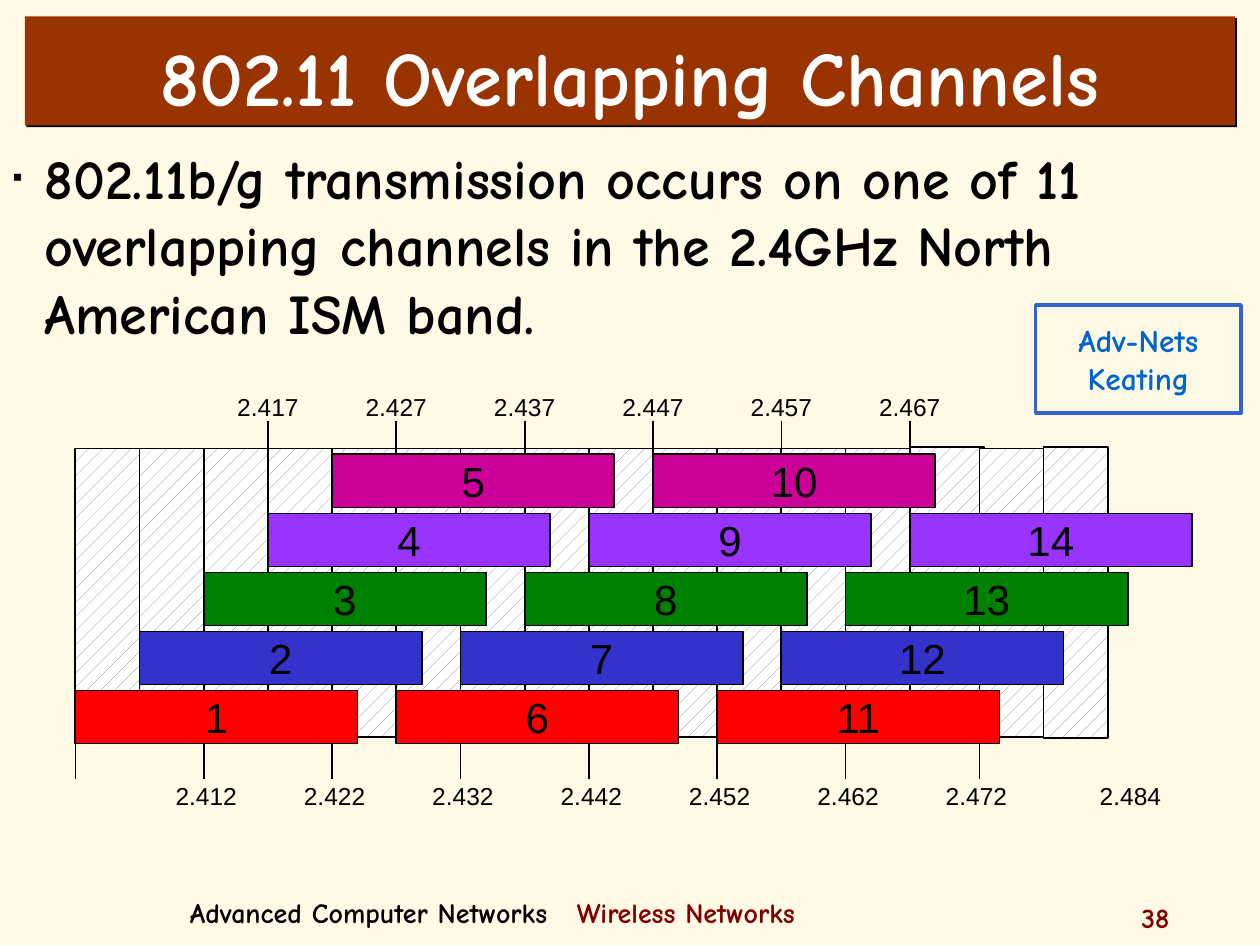
from lxml import etree
from pptx import Presentation
from pptx.dml.color import RGBColor
from pptx.enum import dml, shapes, text
from pptx.oxml import ns
from pptx.util import Cm, Pt

CREAM = RGBColor(0xFF, 0xF9, 0xE6)
RUST = RGBColor(0x99, 0x33, 0x00)
WHITE = RGBColor(0xFF, 0xFF, 0xFF)
BLACK = RGBColor(0x00, 0x00, 0x00)
GRAY = RGBColor(0x80, 0x80, 0x80)
MAROON = RGBColor(0x80, 0x00, 0x00)
FRAME_BLUE = RGBColor(0x33, 0x66, 0xCC)
TEXT_BLUE = RGBColor(0x00, 0x66, 0xCC)
ROW_COLORS = [  # red, blue, green, violet, magenta from the bottom up
    RGBColor(0xFF, 0x00, 0x00), RGBColor(0x33, 0x33, 0xCC), RGBColor(0x00, 0x80, 0x00),
    RGBColor(0x99, 0x33, 0xFF), RGBColor(0xCC, 0x00, 0x99)]

COMIC, ARIAL = "Comic Neue", "Arial"
PITCH = 16.82 / 13  # cm for one 5 MHz column
BAND_START = 2402   # MHz at the left edge of the grid


def write(paragraph, words, font=COMIC, size=16, color=BLACK, bold=True, align=None):
    """Add one formatted run to a paragraph."""
    if align is not None:
        paragraph.alignment = align
    run = paragraph.add_run()
    run.text = words
    run.font.name, run.font.size, run.font.bold = font, Pt(size), bold
    run.font.color.rgb = color


def add_xml(parent, tag, **attributes):
    return etree.SubElement(parent, ns.qn(tag), attributes)


def place(shape, box):
    shape.left, shape.top, shape.width, shape.height = (Cm(value) for value in box)


def add_text_box(slide, box, wrap=True):
    frame = slide.shapes.add_textbox(*(Cm(value) for value in box)).text_frame
    frame.word_wrap = wrap
    return frame


def add_rectangle(container, box, line_color=BLACK, line_width=1):
    shape = container.add_shape(shapes.MSO_SHAPE.RECTANGLE, *(Cm(value) for value in box))
    shape.shadow.inherit = False
    shape.line.color.rgb = line_color
    shape.line.width = Pt(line_width)
    shape.text_frame.word_wrap = False
    shape.text_frame.vertical_anchor = text.MSO_ANCHOR.MIDDLE
    return shape


def add_title(slide, box):
    title = slide.shapes.title
    place(title, box)
    title.fill.solid()
    title.fill.fore_color.rgb = RUST
    effects = add_xml(title.element.spPr, "a:effectLst")
    shadow = add_xml(effects, "a:outerShdw", blurRad="0", dist="17780", dir="2700000",
                     algn="ctr", rotWithShape="0")
    add_xml(shadow, "a:srgbClr", val=str(BLACK))
    frame = title.text_frame
    frame.auto_size = text.MSO_AUTO_SIZE.NONE
    frame.vertical_anchor = text.MSO_ANCHOR.MIDDLE
    paragraph = frame.paragraphs[0]
    paragraph.line_spacing = 1.1
    write(paragraph, "802.11 Overlapping Channels", size=44, color=WHITE,
          align=text.PP_ALIGN.CENTER)


def add_body(slide, box):
    body = slide.placeholders[1]
    place(body, box)
    body.text_frame.auto_size = text.MSO_AUTO_SIZE.NONE
    paragraph = body.text_frame.paragraphs[0]
    paragraph.space_before = Pt(0)
    properties = paragraph._p.get_or_add_pPr()
    properties.set("marL", str(Cm(0.64)))
    properties.set("indent", str(Cm(-0.64)))
    bullet_color = add_xml(properties, "a:buClr")
    add_xml(bullet_color, "a:srgbClr", val=str(BLACK))
    add_xml(properties, "a:buSzPct", val="50000")
    add_xml(properties, "a:buChar", char="▪")
    write(paragraph, "802.11b/g transmission occurs on one of 11 overlapping channels "
          "in the 2.4GHz North American ISM band.", size=32)


def add_grid(slide, left, top):
    """Hatched columns behind the channel bars."""
    height, after_gap = 5.82, 0.11
    tall = [(13 * PITCH, 1.5), (15 * PITCH + after_gap, PITCH)]
    regular = [(column * PITCH, PITCH) for column in range(13)]
    regular.append((14 * PITCH + after_gap, PITCH))
    boxes = [(left + x, top - 0.03, width, height + 0.05) for x, width in tall]
    boxes += [(left + x, top, width, height) for x, width in regular]
    group = slide.shapes.add_group_shape()
    for box in boxes:
        column = add_rectangle(group.shapes, box)
        column.fill.patterned()
        column.fill.pattern = dml.MSO_PATTERN.PERCENT_10
        column.fill.fore_color.rgb = GRAY
        column.fill.back_color.rgb = WHITE


def add_tick(slide, x, top):
    tick = slide.shapes.add_connector(shapes.MSO_CONNECTOR.STRAIGHT,
                                      Cm(x), Cm(top), Cm(x), Cm(top + 1.17))
    tick.line.color.rgb = BLACK
    tick.line.width = Pt(1)
    add_xml(tick.element.spPr, "a:effectLst")


def add_frequency(slide, left, top, megahertz):
    center = left + (megahertz - BAND_START) / 5 * PITCH
    frame = add_text_box(slide, (center - 0.88, top, 1.76, 0.84), wrap=False)
    frame.vertical_anchor = text.MSO_ANCHOR.MIDDLE
    write(frame.paragraphs[0], f"{megahertz / 1000:.3f}", font=ARIAL, size=14, bold=False,
          align=text.PP_ALIGN.CENTER)


def add_channel(slide, left, bottom_row, number):
    row = (number - 1) % 5
    bar = add_rectangle(slide.shapes, (left + (number - 1) * PITCH,
                                       bottom_row - row * 1.19, 5.69, 1.07))
    bar.fill.solid()
    bar.fill.fore_color.rgb = ROW_COLORS[row]
    write(bar.text_frame.paragraphs[0], str(number), font=ARIAL, size=24, bold=False,
          align=text.PP_ALIGN.CENTER)


def add_channel_plan(slide, left, top):
    add_grid(slide, left, top + 1.27)
    # Ticks above and below the grid
    for column in range(3, 14, 2):
        add_tick(slide, left + column * PITCH, top + 0.71)
    for column in range(0, 15, 2):
        add_tick(slide, left + column * PITCH + (0.11 if column == 14 else 0), top + 6.76)
    # Centre frequencies
    for megahertz in range(2417, 2468, 10):
        add_frequency(slide, left, top, megahertz)
    for megahertz in [*range(2412, 2473, 10), 2484]:
        add_frequency(slide, left + 0.05, top + 7.85, megahertz)
    # Channel bars
    for number in range(1, 15):
        add_channel(slide, left, top + 6.15, number)


def add_credit(slide, box):
    credit = add_rectangle(slide.shapes, box, FRAME_BLUE, 2)
    credit.fill.background()
    frame = credit.text_frame
    for paragraph, words in ((frame.paragraphs[0], "Adv-Nets"),
                             (frame.add_paragraph(), "Keating")):
        write(paragraph, words, size=18, color=TEXT_BLUE, align=text.PP_ALIGN.CENTER)


def add_footer(slide, box, number_box):
    paragraph = add_text_box(slide, box).paragraphs[0]
    tabs = add_xml(paragraph._p.get_or_add_pPr(), "a:tabLst")
    add_xml(tabs, "a:tab", pos=str(Cm(7.8)), algn="l")
    write(paragraph, "Advanced Computer Networks\t")
    write(paragraph, "Wireless Networks", color=MAROON)
    write(add_text_box(slide, number_box).paragraphs[0], "38", color=MAROON)


def main():
    presentation = Presentation()
    presentation.slide_width, presentation.slide_height = Cm(25.4), Cm(19.05)
    slide = presentation.slides.add_slide(presentation.slide_layouts[1])
    slide.background.fill.solid()
    slide.background.fill.fore_color.rgb = CREAM
    add_title(slide, (0.5, 0.33, 24.4, 2.2))
    add_body(slide, (0, 2.77, 22.23, 3.48))
    add_footer(slide, (3.58, 17.93, 18.5, 0.8), (22.76, 18.02, 2.54, 0.64))
    add_channel_plan(slide, 1.52, 7.77)
    add_credit(slide, (20.88, 6.15, 4.14, 2.18))
    presentation.save("out.pptx")


if __name__ == "__main__":
    main()
